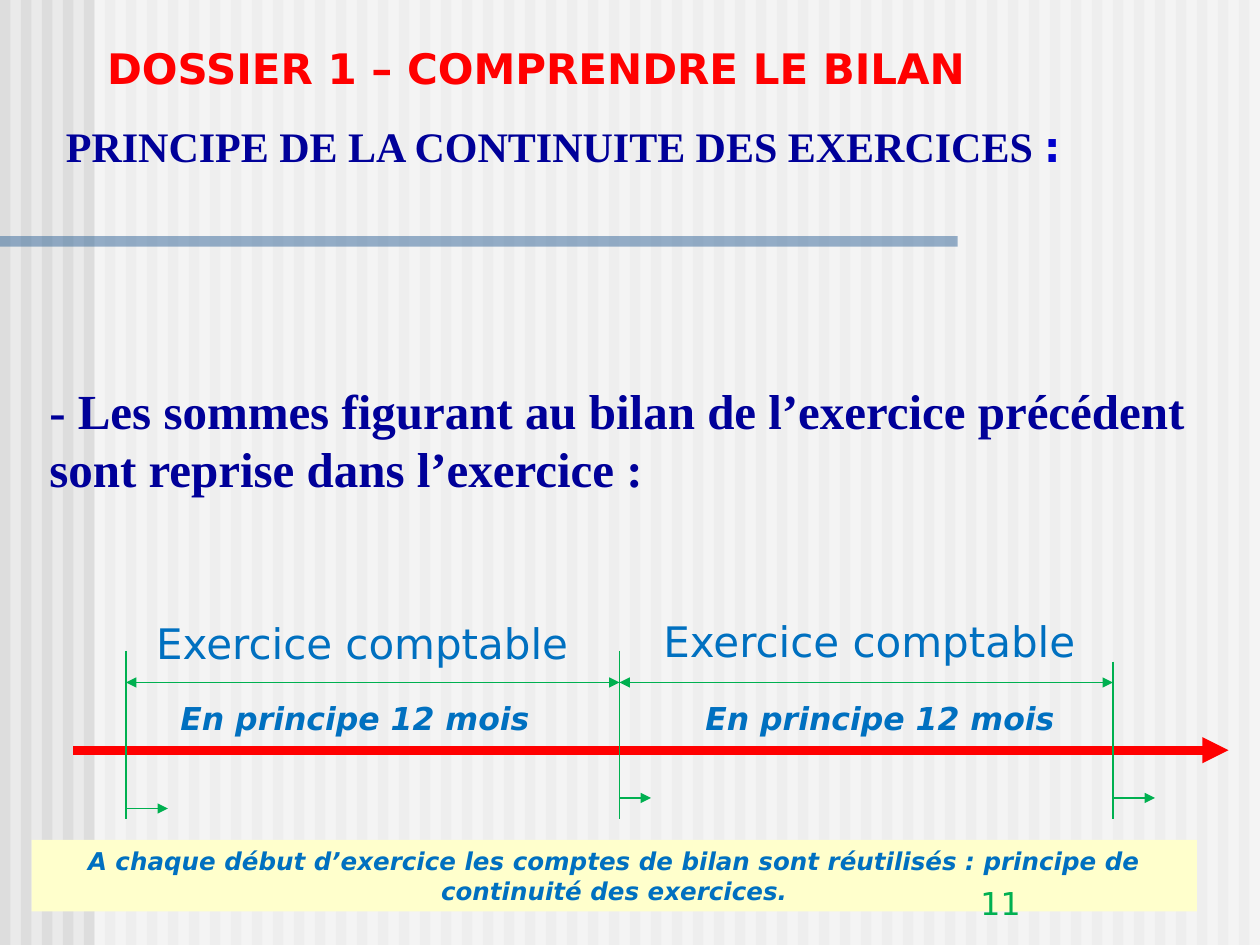
"""Build the slide on the continuity of accounting periods."""
from lxml import etree
from pptx import Presentation
from pptx import util as u
from pptx.dml.color import RGBColor
from pptx.enum import shapes, text
from pptx.oxml.ns import qn

CELL = u.Inches(1) / 12
COLS, ROWS = 120, 90
SANS, SERIF = "DejaVu Sans", "Times New Roman"
PAPER = RGBColor(0xEA, 0xEA, 0xEA)
STRIPE = RGBColor(0xDD, 0xDD, 0xDD)
WHITE = RGBColor(0xFF, 0xFF, 0xFF)
STEEL = RGBColor(0x33, 0x66, 0x99)
NAVY = RGBColor(0x00, 0x00, 0x99)
INDIGO = RGBColor(0x00, 0x00, 0xCC)
RED = RGBColor(0xFF, 0x00, 0x00)
GREEN = RGBColor(0x00, 0xB0, 0x50)
BLUE = RGBColor(0x00, 0x70, 0xC0)
CREAM = RGBColor(0xFF, 0xFF, 0xCC)


def emu(*cells):
    """Convert grid cells to lengths."""
    return [u.Emu(round(c * CELL)) for c in cells]


def style(r, size, color, font=SANS, bold=False, italic=False):
    """Format one run."""
    r.font.size, r.font.name = u.Pt(size), font
    r.font.bold, r.font.italic = bold, italic
    r.font.color.rgb = color


def write(sp, content, size, color, before=0, align=text.PP_ALIGN.LEFT,
          anchor=text.MSO_ANCHOR.TOP, **look):
    """Set and format the single paragraph of a shape."""
    tf = sp.text_frame
    tf.text = content
    tf.word_wrap = True
    tf.auto_size = text.MSO_AUTO_SIZE.NONE
    tf.vertical_anchor = anchor
    p = tf.paragraphs[0]
    p.alignment, p.space_before = align, u.Pt(before)
    style(p.runs[0], size, color, **look)
    return p


def add_text(s, box, content, size, color, **look):
    """Add a text box."""
    return write(s.shapes.add_textbox(*emu(*box)), content, size, color, **look)


def add_rect(s, box, color, alpha=None):
    """Add a borderless rectangle, optionally see-through (percent)."""
    sp = s.shapes.add_shape(shapes.MSO_SHAPE.RECTANGLE, *emu(*box))
    sp.shadow.inherit = False
    sp.fill.solid()
    sp.fill.fore_color.rgb = color
    sp.line.fill.background()
    if alpha is not None:
        clr = sp.element.spPr.find(qn("a:solidFill"))[0]
        etree.SubElement(clr, qn("a:alpha"), val=str(alpha * 1000))
    return sp


def add_line(s, start, end, color=GREEN, width=0.75, ends=()):
    """Add a straight line with triangles at the named ends."""
    c = s.shapes.add_connector(shapes.MSO_CONNECTOR.STRAIGHT, *emu(*start, *end))
    c.line.color.rgb, c.line.width = color, u.Pt(width)
    ln = c.line._get_or_add_ln()
    for end_name in ends:
        etree.SubElement(ln, qn(f"a:{end_name}"), type="triangle")
    etree.SubElement(c.element.spPr, qn("a:effectLst"))


def background(s, box):
    """Draw the striped paper, its veil and the steel rule."""
    x, y, w, h = box
    s.background.fill.solid()
    s.background.fill.fore_color.rgb = PAPER
    for col in range(0, w, 2):
        add_rect(s, (x + col, y, 1, h), STRIPE)
    add_rect(s, (x + 9, y, w - 9, h), WHITE, 50)
    add_rect(s, (x, y + 22.5, w * 0.76, 1), STEEL, 50)


def place(s, sp, box):
    """Move a placeholder into a box, above the background."""
    sp.left, sp.top, sp.width, sp.height = emu(*box)
    s.shapes._spTree.append(sp.element)


def heading(s, box):
    """Place the title and the principle under it."""
    x, y, w, h = box
    add = add_text(s, (x, y + 7.5, w - 5.9, 6.1), "PRINCIPE DE LA CONTINUITE DES EXERCICES ",
                   24, NAVY, before=15, font=SERIF, bold=True)
    colon = add.add_run()
    colon.text = ":"
    style(colon, 24, INDIGO, bold=True)
    place(s, s.shapes.title, (x + 3.9, y, w - 3.9, 6))
    write(s.shapes.title, "DOSSIER 1 – COMPRENDRE LE BILAN", 24, RED, before=15, bold=True)


def statement(s, box):
    """Place the body sentence without its bullet."""
    body = s.placeholders[1]
    place(s, body, box)
    p = write(body, "- Les sommes figurant au bilan de l’exercice précédent "
              "sont reprise dans l’exercice :", 28, NAVY, before=17.5, font=SERIF, bold=True)
    pPr = p._p.get_or_add_pPr()
    pPr.set("marL", "0")
    pPr.set("indent", "0")
    etree.SubElement(pPr, qn("a:buNone"))


def timeline(s, box):
    """Draw the time axis with two accounting periods."""
    x, y, w, h = box
    add_line(s, (x, y + 13.45), (x + w, y + 13.45), RED, 5, ["tailEnd"])
    marks = [x + 5 + 47 * i for i in range(3)]
    for mark, top, restart, length in zip(marks, (4, 4, 5), (19, 18, 18), (4, 3, 4)):
        add_line(s, (mark, y + top), (mark, y + h))
        add_line(s, (mark, y + restart), (mark + length, y + restart), ends=["tailEnd"])
    for start, end in zip(marks, marks[1:]):
        add_line(s, (start, y + 7), (end, y + 7), ends=["headEnd", "tailEnd"])
    for left, top, note_left in ((6.7, 0.2, 9), (55, 0, 59)):
        add_text(s, (x + left, y + top, 42, 6), "Exercice comptable", 24, BLUE, before=15)
        add_text(s, (x + note_left, y + 8, 36, 4.8), "En principe 12 mois", 18, BLUE,
                 before=11.2, bold=True, italic=True)


def conclusion(s, box):
    """Draw the closing banner and the slide number."""
    x, y, w, h = box
    write(add_rect(s, box, CREAM),
          "A chaque début d’exercice les comptes de bilan sont réutilisés : "
          "principe de continuité des exercices.", 14, BLUE, before=8.8,
          align=text.PP_ALIGN.CENTER, bold=True, italic=True)
    add_text(s, (x + 89.2, y + 2.4, 25, 6), "11", 18, GREEN,
             anchor=text.MSO_ANCHOR.BOTTOM)


def main():
    """Assemble and save the slide."""
    prs = Presentation()
    prs.slide_width, prs.slide_height = emu(COLS, ROWS)
    s = prs.slides.add_slide(prs.slide_layouts[1])
    background(s, (0, 0, COLS, ROWS))
    heading(s, (5.1, 3.4, 108.9, 13.6))
    statement(s, (3.5, 35.6, 111, 12.6))
    timeline(s, (7, 58, 110, 20))
    conclusion(s, (3, 80, 111, 6.8))
    prs.save("out.pptx")


if __name__ == "__main__":
    main()
